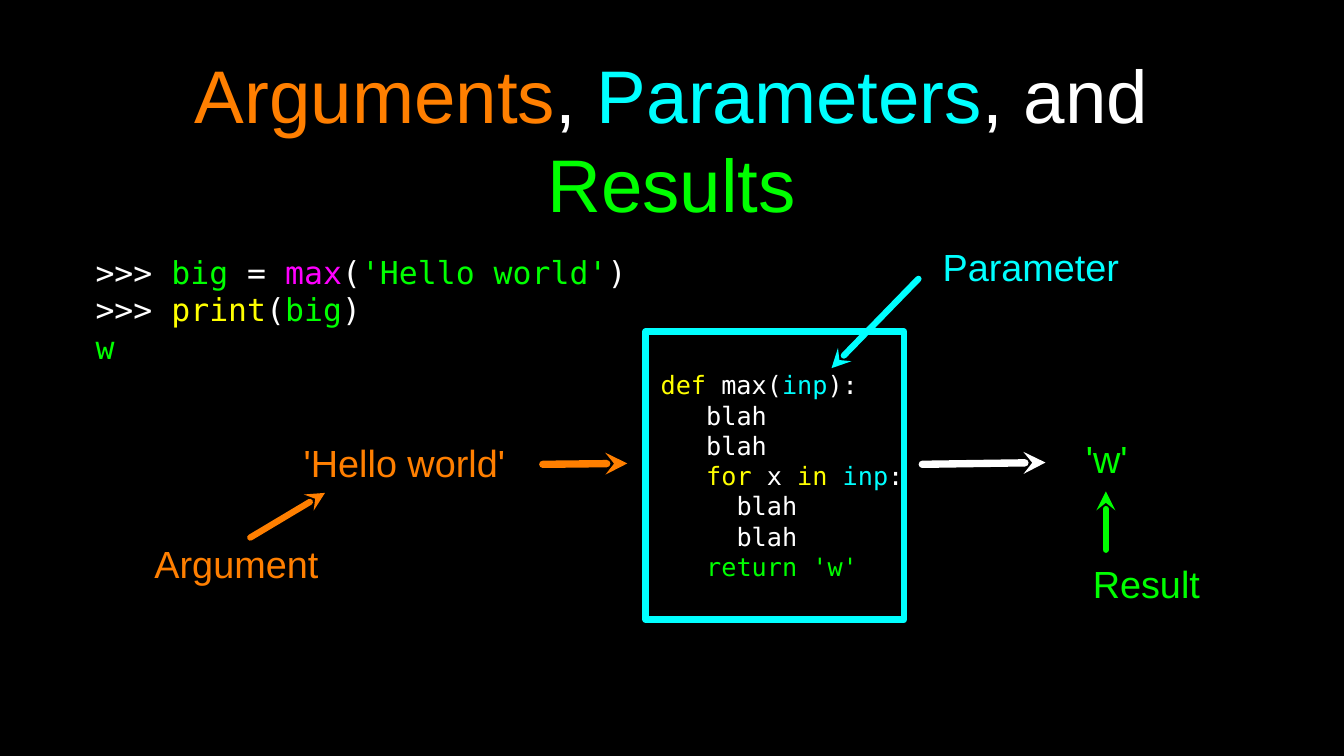
from lxml.etree import SubElement as Sub
from pptx import Presentation as Deck
from pptx.dml.color import RGBColor as Rgb
from pptx.enum.shapes import MSO_CONNECTOR as Conn, MSO_SHAPE as Kind
from pptx.enum.text import MSO_ANCHOR as Anchor, PP_ALIGN as Align
from pptx.oxml.ns import qn
from pptx.util import Cm, Pt

SANS, MONO = "Arial", "DejaVu Sans Mono"
WHITE, BLACK, ORANGE, CYAN = "FFFFFF", "000000", "FF7F00", "00FFFF"
GREEN, YELLOW, PINK = "00FF00", "FFFF00", "FF00FF"
STEP = 0.51

TITLE = [(0, [("Arguments", ORANGE), (", ", WHITE), ("Parameters", CYAN),
              (", and ", WHITE), ("Results", GREEN)])]
SHELL = [
    (0, [(">>> ", WHITE), ("big", GREEN), (" = ", WHITE), ("max", PINK),
         ("(", WHITE), ("'Hello world'", GREEN), (")", WHITE)]),
    (0, [(">>> ", WHITE), ("print", YELLOW), ("(", WHITE), ("big", GREEN),
         (")", WHITE)]),
    (0, [("w", GREEN)]),
]
BLAH = [("blah", WHITE)]
CODE = [
    (1, [("def", YELLOW), (" max(", WHITE), ("inp", CYAN), ("):", WHITE)]),
    (4, BLAH),
    (4, BLAH),
    (4, [("for", YELLOW), (" x ", WHITE), ("in ", YELLOW), ("inp", CYAN),
         (":", WHITE)]),
    (6, BLAH),
    (6, BLAH),
    (4, [("return 'w'", GREEN)]),
]
LABELS = [
    ("'Hello world'", ORANGE, 9.63, 14.68, 7.92),
    ("'w'", GREEN, 36.3, 14.53, 1.78),
    ("Argument", ORANGE, 4.72, 18.06, 6.45),
    ("Parameter", CYAN, 31.2, 8.08, 6.88),
    ("Result", GREEN, 36.17, 18.75, 4.7),
]
ARROWS = [
    (ORANGE, 7, (18.24, 15.6), (21.08, 15.57)),
    (WHITE, 7, (30.99, 15.6), (35.13, 15.54)),
    (ORANGE, 6, (8.41, 18.06), (10.92, 16.56)),
    (CYAN, 6, (30.86, 9.37), (27.94, 12.37)),
    (GREEN, 6, (37.16, 18.47), (37.16, 16.51)),
]


def tint(code):
    """Turn a hex string into a colour."""
    return Rgb.from_string(code)


def setall(item, form):
    """Set each attribute named in form on item."""
    for name, value in form.items():
        setattr(item, name, value)


def write(shape, lines, font, size, align=Align.LEFT, pad=0):
    """Fill a shape with indented lines of coloured runs."""
    frame = shape.text_frame
    sides = ("left", "right", "top", "bottom")
    setall(frame, {f"margin_{side}": Cm(pad) for side in sides})
    setall(frame, {"word_wrap": True, "vertical_anchor": Anchor.MIDDLE})
    for num, (depth, runs) in enumerate(lines):
        para = frame.add_paragraph() if num else frame.paragraphs[0]
        para.alignment = align
        if depth:
            props = para._p.get_or_add_pPr()
            props.set("marL", str(Cm(depth * STEP)))
            props.set("indent", "0")
        for text, color in runs:
            run = para.add_run()
            run.text = text
            setall(run.font, {"name": font, "size": Pt(size), "bold": False})
            run.font.color.rgb = tint(color)


def box(slide, area):
    """Add a text box at the given place."""
    return slide.shapes.add_textbox(*map(Cm, area))


def paint(item, color):
    """Give the fill of an item one solid colour."""
    item.fill.solid()
    item.fill.fore_color.rgb = tint(color)


def stroke(shape, color, width):
    """Give a shape a solid round line and return its element."""
    shape.line.color.rgb = tint(color)
    shape.line.width = Pt(width)
    line = shape.line._get_or_add_ln()
    line.set("cap", "rnd")
    Sub(line, qn("a:round"))
    return line


def block(slide, area):
    """Add a plain rectangle with no fill, line or shadow."""
    shape = slide.shapes.add_shape(Kind.RECTANGLE, *map(Cm, area))
    shape.shadow.inherit = False
    shape.fill.background()
    shape.line.fill.background()
    return shape


def arrow(slide, color, width, start, tip):
    """Add a straight arrow that points at tip."""
    link = slide.shapes.add_connector(Conn.STRAIGHT, *map(Cm, start + tip))
    Sub(stroke(link, color, width), qn("a:tailEnd"), type="stealth")
    Sub(link._element.spPr, qn("a:effectLst"))


def main():
    """Build the slide and save it."""
    deck = Deck()
    setall(deck, {"slide_width": Cm(45.16), "slide_height": Cm(25.4)})
    slide = deck.slides.add_slide(deck.slide_layouts[6])
    paint(slide.background, BLACK)
    paint(block(slide, (0, 23.22, 45.16, 2.18)), BLACK)
    write(box(slide, (3.21, 2.22, 38.71, 4.83)), TITLE, SANS, 71,
          Align.CENTER, 0.1)
    write(box(slide, (3.21, 8.08, 20.98, 4.62)), SHELL, MONO, 30)
    panel = block(slide, (21.69, 11.14, 8.69, 9.68))
    stroke(panel, CYAN, 6)
    write(panel, CODE, MONO, 24)
    for text, color, left, top, width in LABELS:
        write(box(slide, (left, top, width, 1.73)), [(0, [(text, color)])],
              SANS, 36, Align.CENTER)
    for item in ARROWS:
        arrow(slide, *item)
    deck.save("out.pptx")


if __name__ == "__main__":
    main()
